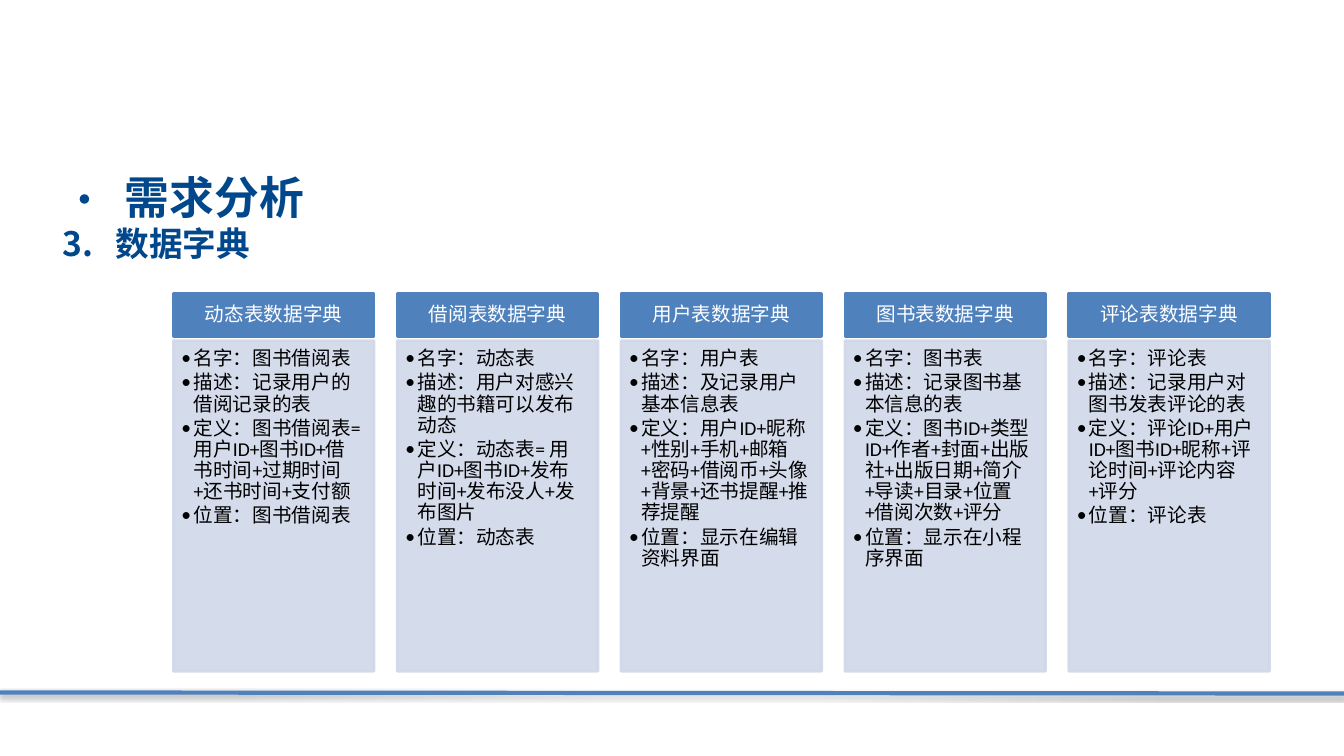
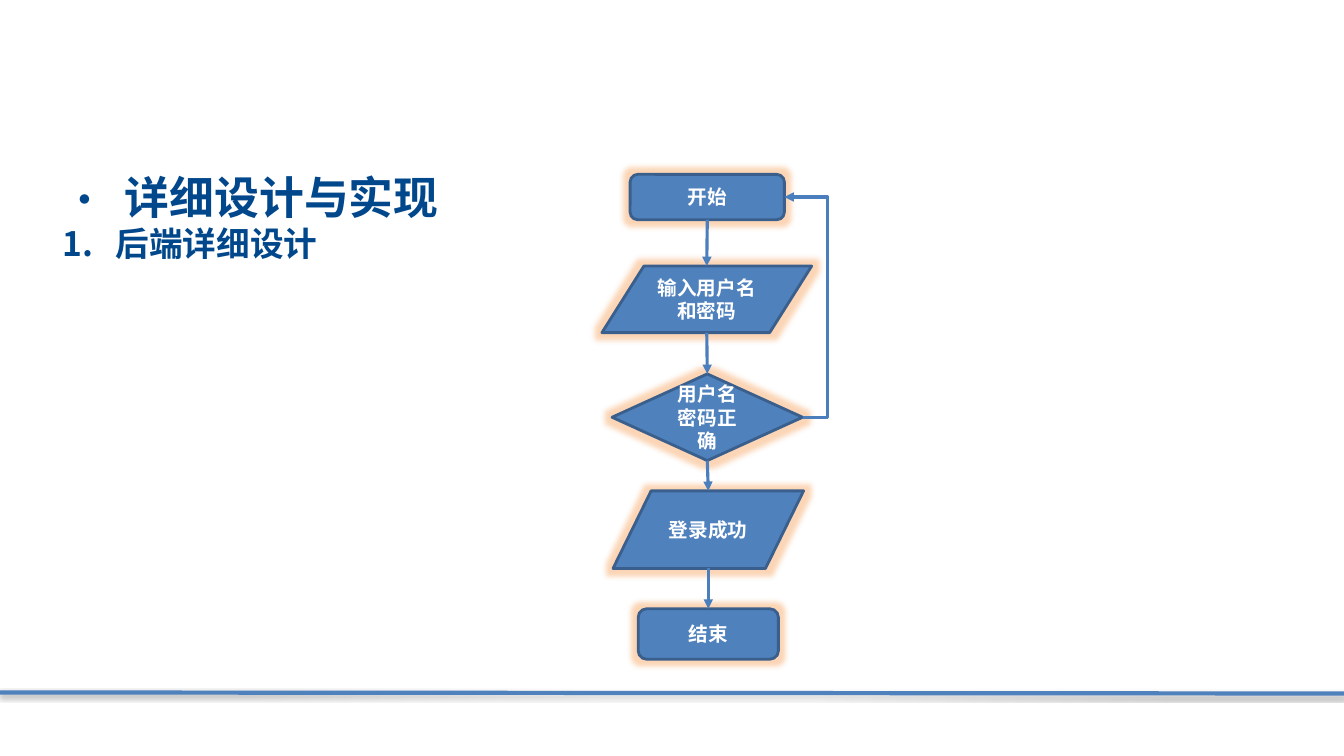
from dataclasses import dataclass
from itertools import pairwise

from lxml import etree
from pptx import Presentation
from pptx.dml.color import RGBColor
from pptx.enum.shapes import MSO_CONNECTOR, MSO_SHAPE
from pptx.enum.text import MSO_ANCHOR, PP_ALIGN
from pptx.oxml.ns import qn
from pptx.util import Inches, Pt

RECT = MSO_SHAPE.RECTANGLE
ROUNDED = MSO_SHAPE.ROUNDED_RECTANGLE
INPUT_OUTPUT = MSO_SHAPE.FLOWCHART_DATA
DECISION = MSO_SHAPE.FLOWCHART_DECISION
STRAIGHT = MSO_CONNECTOR.STRAIGHT
ELBOW = MSO_CONNECTOR.ELBOW
CENTER, LEFT = PP_ALIGN.CENTER, PP_ALIGN.LEFT
MIDDLE, TOP = MSO_ANCHOR.MIDDLE, MSO_ANCHOR.TOP

COLORS = {
    "heading": "00478B",
    "accent": "4F81BD",
    "card": "D0D8E8",
    "step_edge": "3A5F8C",
    "arrow": "4B7EBC",
    "glow": "F79646",
    "white": "FFFFFF",
    "black": "000000",
}
HEADING_FONT = "Noto Sans CJK SC"
BODY_FONT = "Calibri"
SECTION = {"name": HEADING_FONT, "size": Pt(32), "bold": True}
SUBSECTION = {**SECTION, "size": Pt(24)}
BODY = {"name": BODY_FONT, "size": Pt(14), "bold": False}
STEP_TEXT = {**BODY, "bold": True}
HEADER_FRAME = {"word_wrap": True, "vertical_anchor": MIDDLE,
                "margin_left": Inches(0.11), "margin_right": Inches(0.11),
                "margin_top": Inches(0.06), "margin_bottom": Inches(0.06)}
DETAIL_FRAME = {"word_wrap": True, "vertical_anchor": TOP,
                "margin_left": Inches(0.08), "margin_right": Inches(0.11),
                "margin_top": Inches(0.08), "margin_bottom": Inches(0.12)}
STEP_FRAME = {"word_wrap": True, "vertical_anchor": MIDDLE}
CARD_LEFT, CARD_STEP, CARD_WIDTH = 1.72, 2.22, 1.99


@dataclass(frozen=True)
class Dictionary:
    header: str
    entries: tuple[str, ...]


@dataclass(frozen=True)
class Step:
    text: str
    kind: int
    left: float
    top: float
    width: float
    height: float

    @property
    def center(self) -> float:
        return self.left + self.width / 2

    @property
    def middle(self) -> float:
        return self.top + self.height / 2

    @property
    def right(self) -> float:
        return self.left + self.width

    @property
    def bottom(self) -> float:
        return self.top + self.height


DICTIONARIES = (
    Dictionary("动态表数据字典", (
        "名字：图书借阅表",
        "描述：记录用户的借阅记录的表",
        "定义：图书借阅表=用户ID+图书ID+借书时间+过期时间+还书时间+支付额",
        "位置：图书借阅表")),
    Dictionary("借阅表数据字典", (
        "名字：动态表",
        "描述：用户对感兴趣的书籍可以发布动态",
        "定义：动态表= 用户ID+图书ID+发布时间+发布没人+发布图片",
        "位置：动态表")),
    Dictionary("用户表数据字典", (
        "名字：用户表",
        "描述：及记录用户基本信息表",
        "定义：用户ID+昵称+性别+手机+邮箱+密码+借阅币+头像+背景+还书提醒+推荐提醒",
        "位置：显示在编辑资料界面")),
    Dictionary("图书表数据字典", (
        "名字：图书表",
        "描述：记录图书基本信息的表",
        "定义：图书ID+类型ID+作者+封面+出版社+出版日期+简介+导读+目录+位置+借阅次数+评分",
        "位置：显示在小程序界面")),
    Dictionary("评论表数据字典", (
        "名字：评论表",
        "描述：记录用户对图书发表评论的表",
        "定义：评论ID+用户ID+图书ID+昵称+评论时间+评论内容+评分",
        "位置：评论表")),
)
STEPS = (
    Step("开始", ROUNDED, 6.25, 1.73, 1.53, 0.45),
    Step("输入用户名和密码", INPUT_OUTPUT, 5.97, 2.64, 2.08, 0.66),
    Step("用户名密码正确", DECISION, 6.07, 3.71, 1.89, 0.86),
    Step("登录成功", INPUT_OUTPUT, 6.08, 4.87, 1.89, 0.77),
    Step("结束", ROUNDED, 6.33, 6.04, 1.39, 0.5),
)
RETRY_X = 8.21


def rgb(color: str) -> RGBColor:
    return RGBColor.from_string(COLORS[color])


def add_xml(parent, tag: str, **attributes):
    return etree.SubElement(parent, qn(tag), attributes)


def apply_format(target, values: dict) -> None:
    for name, value in values.items():
        setattr(target, name, value)


def add_effect(effects, tag: str, color: str, alpha: int, **attributes) -> None:
    effect = add_xml(effects, tag, **attributes)
    tint = add_xml(effect, "a:srgbClr", val=COLORS[color])
    add_xml(tint, "a:alpha", val=str(alpha * 1000))


def write(paragraph, text: str, style: dict, color: str, align=LEFT,
          line_spacing: float = 1.0, before: float = 0, after: float = 0) -> None:
    apply_format(paragraph, {"alignment": align, "line_spacing": line_spacing,
                             "space_before": Pt(before), "space_after": Pt(after)})
    run = paragraph.add_run()
    run.text = text
    apply_format(run.font, style)
    run.font.color.rgb = rgb(color)
    add_xml(run.font._element, "a:ea", typeface=style["name"])


def add_bullet(paragraph, indent: float, font: str, tag: str, **mark) -> None:
    properties = paragraph._p.get_or_add_pPr()
    properties.set("marL", str(Inches(indent)))
    properties.set("indent", str(-Inches(indent)))
    add_xml(properties, "a:buFont", typeface=font)
    add_xml(properties, tag, **mark)


def add_box(slide, kind, left: float, top: float, width: float, height: float,
            fill: str, edge: str, frame: dict):
    box = slide.shapes.add_shape(kind, Inches(left), Inches(top), Inches(width), Inches(height))
    box.shadow.inherit = False
    box.fill.solid()
    box.fill.fore_color.rgb = rgb(fill)
    box.line.color.rgb = rgb(edge)
    box.line.width = Pt(2)
    apply_format(box.text_frame, frame)
    return box


def add_line(slide, start: tuple[float, float], end: tuple[float, float],
             color: str, width: float, kind=STRAIGHT):
    line = slide.shapes.add_connector(kind, *(Inches(value) for value in start + end))
    line.line.color.rgb = rgb(color)
    line.line.width = Pt(width)
    effects = add_xml(line._element.spPr, "a:effectLst")
    return line, effects


def add_arrow(slide, start: tuple[float, float], end: tuple[float, float], kind=STRAIGHT):
    arrow, _ = add_line(slide, start, end, "arrow", 2.25, kind)
    add_xml(arrow.line._get_or_add_ln(), "a:tailEnd", type="triangle")
    return arrow


def add_page(deck, section: str, number: int, subsection: str):
    slide = deck.slides.add_slide(deck.slide_layouts[6])
    _, effects = add_line(slide, (0, 6.87), (13.33, 6.88), "accent", 3)
    add_effect(effects, "a:outerShdw", "black", 35, blurRad=str(Pt(3.1)),
               dist=str(Pt(1.8)), dir="5400000", rotWithShape="0")
    heading = slide.shapes.add_textbox(Inches(0.52), Inches(1.74), Inches(5), Inches(1.1))
    frame = heading.text_frame
    frame.word_wrap = True
    section_line, subsection_line = frame.paragraphs[0], frame.add_paragraph()
    write(section_line, section, SECTION, "heading", line_spacing=0.8)
    add_bullet(section_line, 0.62, HEADING_FONT, "a:buChar", char="・")
    write(subsection_line, subsection, SUBSECTION, "heading", line_spacing=0.8, before=5)
    add_bullet(subsection_line, 0.53, HEADING_FONT, "a:buAutoNum",
               type="arabicPeriod", startAt=str(number))
    return slide


def add_dictionary(slide, left: float, dictionary: Dictionary) -> None:
    header = add_box(slide, RECT, left, 2.91, CARD_WIDTH, 0.43, "accent", "accent", HEADER_FRAME)
    write(header.text_frame.paragraphs[0], dictionary.header, BODY, "white", CENTER, 0.9)
    details = add_box(slide, RECT, left, 3.38, CARD_WIDTH, 3.28, "card", "card", DETAIL_FRAME)
    for tint in list(details._element.spPr.iter(qn("a:srgbClr"))):
        add_xml(tint, "a:alpha", val="90000")
    frame = details.text_frame
    for index, entry in enumerate(dictionary.entries):
        paragraph = frame.add_paragraph() if index else frame.paragraphs[0]
        write(paragraph, entry, BODY, "black", line_spacing=0.9, after=2.1)
        add_bullet(paragraph, 0.12, BODY_FONT, "a:buChar", char="•")


def add_step(slide, step: Step) -> None:
    box = add_box(slide, step.kind, step.left, step.top, step.width, step.height,
                  "accent", "step_edge", STEP_FRAME)
    effects = box._element.spPr.find(qn("a:effectLst"))
    add_effect(effects, "a:glow", "glow", 40, rad=str(Pt(8)))
    write(box.text_frame.paragraphs[0], step.text, STEP_TEXT, "white", CENTER)


def add_retry(slide, check: Step, start: Step) -> None:
    arrow = add_arrow(slide, (check.right, check.middle), (start.right, start.middle), ELBOW)
    bend = (check.right - RETRY_X) / (check.right - start.right)
    geometry = arrow._element.spPr.find(qn("a:prstGeom"))
    guides = geometry.find(qn("a:avLst"))
    if guides is None:
        guides = add_xml(geometry, "a:avLst")
    add_xml(guides, "a:gd", name="adj1", fmla=f"val {round(bend * 100000)}")


def main() -> None:
    deck = Presentation()
    deck.slide_width, deck.slide_height = Inches(13.33), Inches(7.5)

    analysis = add_page(deck, "需求分析", 3, "数据字典")
    for index, dictionary in enumerate(DICTIONARIES):
        add_dictionary(analysis, CARD_LEFT + index * CARD_STEP, dictionary)

    design = add_page(deck, "详细设计与实现", 1, "后端详细设计")
    for step in STEPS:
        add_step(design, step)
    for upper, lower in pairwise(STEPS):
        add_arrow(design, (upper.center, upper.bottom), (lower.center, lower.top))
    add_retry(design, STEPS[2], STEPS[0])

    deck.save("out.pptx")


if __name__ == "__main__":
    main()
